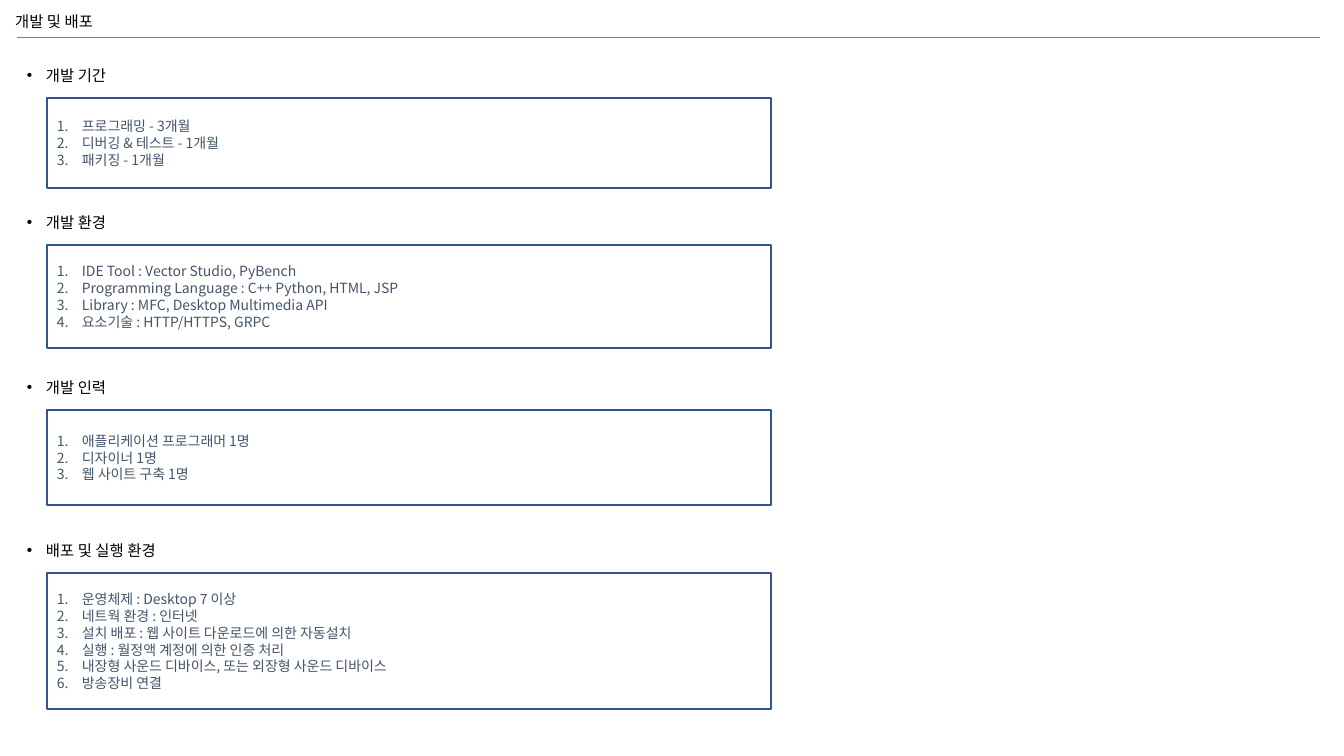
from lxml import etree
from pptx import Presentation
from pptx.dml.color import RGBColor
from pptx.enum.shapes import MSO_CONNECTOR, MSO_SHAPE
from pptx.enum.text import MSO_ANCHOR, MSO_AUTO_SIZE, PP_ALIGN
from pptx.oxml.ns import qn
from pptx.util import Pt

SCALE = 914400 / 100.8
FONT = "Noto Sans CJK KR"
RECT = MSO_SHAPE.RECTANGLE
LINE = MSO_CONNECTOR.STRAIGHT
TOP = MSO_ANCHOR.TOP
MIDDLE = MSO_ANCHOR.MIDDLE
GROW = MSO_AUTO_SIZE.SHAPE_TO_FIT_TEXT
LEFT = PP_ALIGN.LEFT

HEAD = {"size": 11, "color": "000000"}
BODY = {"size": 10, "color": "44546A"}
BULLET = {"indent": 19, "tag": "a:buChar", "attrs": {"char": "•"}}
NUMBER = {"indent": 25, "tag": "a:buAutoNum", "attrs": {"type": "arabicPeriod"}}

PARTS = [
    (61, 90, "개발 기간", [
        "프로그래밍 - 3개월",
        "디버깅 & 테스트 - 1개월",
        "패키징 - 1개월",
    ]),
    (208, 103, "개발 환경", [
        "IDE Tool : Vector Studio, PyBench",
        "Programming Language : C++ Python, HTML, JSP",
        "Library : MFC, Desktop Multimedia API",
        "요소기술 : HTTP/HTTPS, GRPC",
    ]),
    (373, 95, "개발 인력", [
        "애플리케이션 프로그래머 1명",
        "디자이너 1명",
        "웹 사이트 구축 1명",
    ]),
    (536, 136, "배포 및 실행 환경", [
        "운영체제 : Desktop 7 이상",
        "네트웍 환경 : 인터넷",
        "설치 배포 : 웹 사이트 다운로드에 의한 자동설치",
        "실행 : 월정액 계정에 의한 인증 처리",
        "내장형 사운드 디바이스, 또는 외장형 사운드 디바이스",
        "방송장비 연결",
    ]),
]


def px(*values):
    return [round(value * SCALE) for value in values]


def rgb(code):
    return RGBColor.from_string(code)


def format_all(item, values):
    for name, value in values.items():
        setattr(item, name, value)


def place(shape, *box):
    format_all(shape, dict(zip(("left", "top", "width", "height"), px(*box))))


def mark(para, style):
    props = para._p.get_or_add_pPr()
    indent = px(style["indent"])[0]
    props.set("marL", str(indent))
    props.set("indent", str(-indent))
    etree.SubElement(props, qn("a:buFont"), typeface="Arial")
    etree.SubElement(props, qn(style["tag"]), style["attrs"])


def write(frame, lines, look, style=None):
    for index, line in enumerate(lines):
        para = frame.add_paragraph() if index else frame.paragraphs[0]
        para.alignment = LEFT
        if style:
            mark(para, style)
        run = para.add_run()
        run.text = line
        format_all(run.font, {"name": FONT, "size": Pt(look["size"])})
        run.font.color.rgb = rgb(look["color"])
        etree.SubElement(run._r.get_or_add_rPr(), qn("a:ea"), typeface=FONT)


def add_title(slide, text):
    title = slide.shapes.title
    place(title, 5, 7, 872, 29)
    frame = title.text_frame
    format_all(frame, {"word_wrap": True, "vertical_anchor": TOP, "auto_size": GROW})
    write(frame, [text], HEAD)


def add_rule(slide):
    rule = slide.shapes.add_connector(LINE, *px(17, 37, 1320, 37))
    rule.line.color.rgb = rgb("808080")
    rule.line.width = Pt(0.5)
    etree.SubElement(rule._element.spPr, qn("a:effectLst"))


def add_head(slide, top, text):
    frame = slide.shapes.add_textbox(*px(17, top, 872, 29)).text_frame
    format_all(frame, {"word_wrap": True, "auto_size": GROW})
    write(frame, [text], HEAD, BULLET)


def add_box(slide, top, height, lines):
    box = slide.shapes.add_shape(RECT, *px(47, top, 724, height))
    box.shadow.inherit = False
    box.fill.background()
    box.line.color.rgb = rgb("325491")
    box.line.width = Pt(1)
    format_all(box.text_frame, {"word_wrap": True, "vertical_anchor": MIDDLE})
    write(box.text_frame, lines, BODY, NUMBER)


def main():
    deck = Presentation()
    deck.slide_width, deck.slide_height = px(1344, 756)
    slide = deck.slides.add_slide(deck.slide_layouts.get_by_name("Title Only"))
    add_title(slide, "개발 및 배포")
    add_rule(slide)
    for top, height, head, lines in PARTS:
        add_head(slide, top, head)
        add_box(slide, top + 37, height, lines)
    deck.save("out.pptx")


if __name__ == "__main__":
    main()
